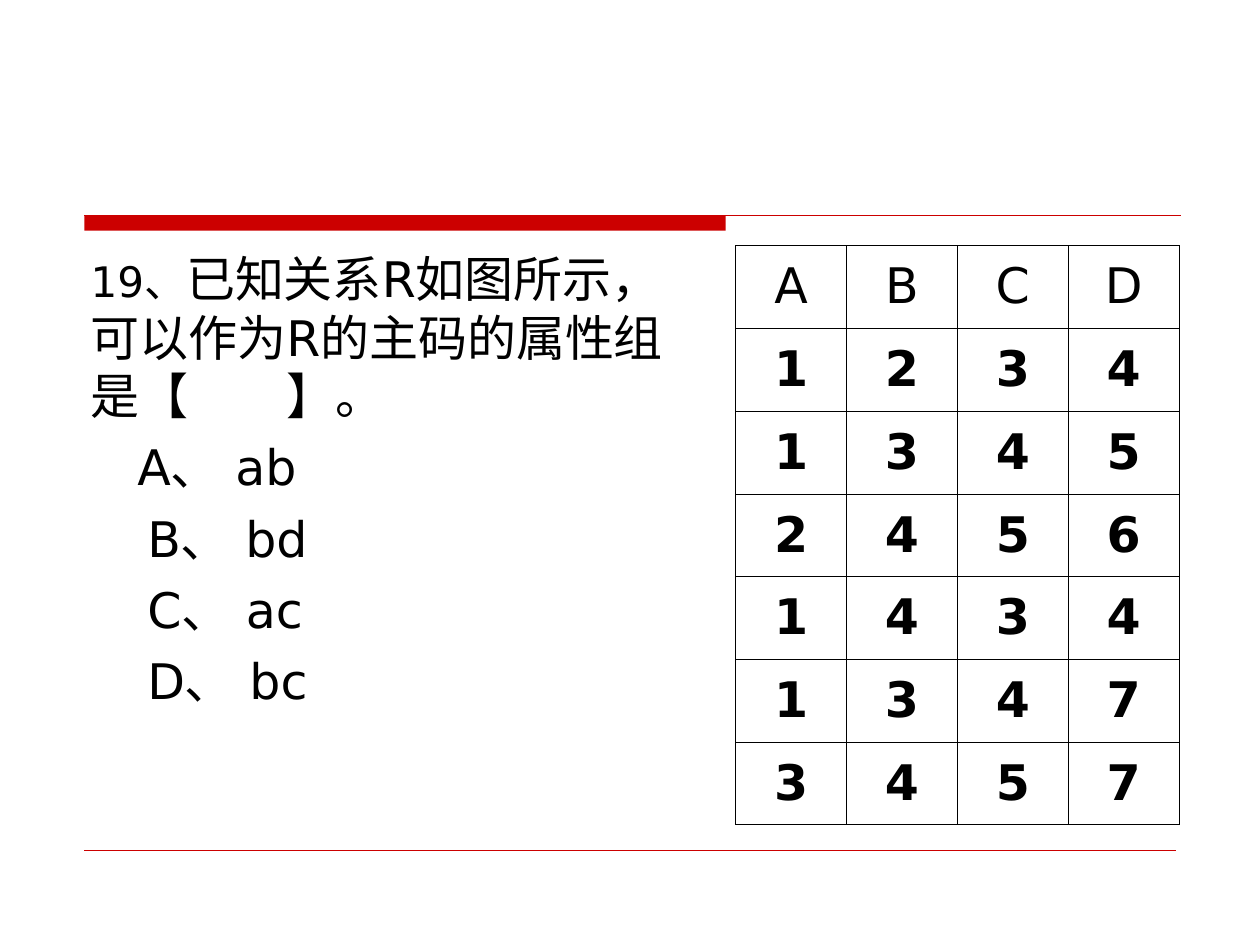
import pptx
import pptx.dml.color
import pptx.enum.shapes
import pptx.enum.text
import pptx.oxml.ns
import pptx.util
from lxml import etree

Cm = pptx.util.Cm
Pt = pptx.util.Pt
RED = pptx.dml.color.RGBColor(0xCC, 0x00, 0x00)
BLACK = pptx.dml.color.RGBColor(0x00, 0x00, 0x00)
FONT = "DejaVu Sans"

QUESTION_NUMBER = "19、"
QUESTION = "已知关系R如图所示，可以作为R的主码的属性组是【　　】。"
OPTIONS = [  # text, left indent in cm
    ("A、 ab", 0.94),
    ("B、 bd", 1.14),
    ("C、 ac", 1.14),
    ("D、 bc", 1.14),
]
RELATION = ["ABCD", "1234", "1345", "2456", "1434", "1347", "3457"]


def format_run(run, size=28, bold=False):
    run.font.name = FONT
    run.font.size = Pt(size)
    run.font.bold = bold
    run.font.color.rgb = BLACK
    east_asian = etree.SubElement(run.font._element, pptx.oxml.ns.qn("a:ea"))
    east_asian.set("typeface", FONT)


def add_rule(slide, left, right, y, width):
    """Draw a horizontal red line; positions in cm, width in points."""
    rule = slide.shapes.add_connector(
        pptx.enum.shapes.MSO_CONNECTOR.STRAIGHT, Cm(left), Cm(y), Cm(right), Cm(y))
    rule.line.color.rgb = RED
    rule.line.width = Pt(width)
    etree.SubElement(rule._element.spPr, pptx.oxml.ns.qn("a:effectLst"))


def add_question(slide):
    box = slide.shapes.add_textbox(Cm(1.58), Cm(4.88), Cm(12.57), Cm(11.86))
    text_frame = box.text_frame
    text_frame.word_wrap = True
    paragraph = text_frame.paragraphs[0]
    for text, size in ((QUESTION_NUMBER, 24), (QUESTION, 28)):
        run = paragraph.add_run()
        run.text = text
        format_run(run, size)
    for text, indent in OPTIONS:
        paragraph = text_frame.add_paragraph()
        paragraph.text = text
        paragraph.space_before = Pt(7)
        paragraph._p.get_or_add_pPr().set("marL", str(Cm(indent)))
        format_run(paragraph.runs[0])


def add_borders(cell):
    properties = cell._tc.get_or_add_tcPr()
    for side in ("lnL", "lnR", "lnT", "lnB"):
        line = etree.SubElement(
            properties, pptx.oxml.ns.qn("a:" + side), w=str(Pt(0.34)))
        fill = etree.SubElement(line, pptx.oxml.ns.qn("a:solidFill"))
        etree.SubElement(fill, pptx.oxml.ns.qn("a:srgbClr"), val=str(BLACK))


def add_relation_table(slide):
    frame = slide.shapes.add_table(
        len(RELATION), len(RELATION[0]), Cm(14.83), Cm(4.95), Cm(8.94), Cm(11.68))
    table = frame.table
    table.first_row = False
    table.horz_banding = False
    for row, values in enumerate(RELATION):
        for column, value in enumerate(values):
            cell = table.cell(row, column)
            cell.text_frame.text = value
            cell.vertical_anchor = pptx.enum.text.MSO_ANCHOR.MIDDLE
            paragraph = cell.text_frame.paragraphs[0]
            paragraph.alignment = pptx.enum.text.PP_ALIGN.CENTER
            format_run(paragraph.runs[0], bold=row > 0)
            add_borders(cell)
            cell.fill.background()


def main():
    presentation = pptx.Presentation()
    presentation.slide_width = Cm(25.4)
    presentation.slide_height = Cm(19.05)
    slide = presentation.slides.add_slide(presentation.slide_layouts[6])

    bar = slide.shapes.add_shape(
        pptx.enum.shapes.MSO_SHAPE.RECTANGLE, Cm(1.7), Cm(4.34), Cm(12.93), Cm(0.31))
    bar.shadow.inherit = False
    bar.fill.solid()
    bar.fill.fore_color.rgb = RED
    bar.line.fill.background()
    add_rule(slide, 1.7, 23.8, 4.34, 0.75)
    add_rule(slide, 1.7, 23.7, 17.15, 0.25)

    add_question(slide)
    add_relation_table(slide)
    presentation.save("out.pptx")


if __name__ == "__main__":
    main()
